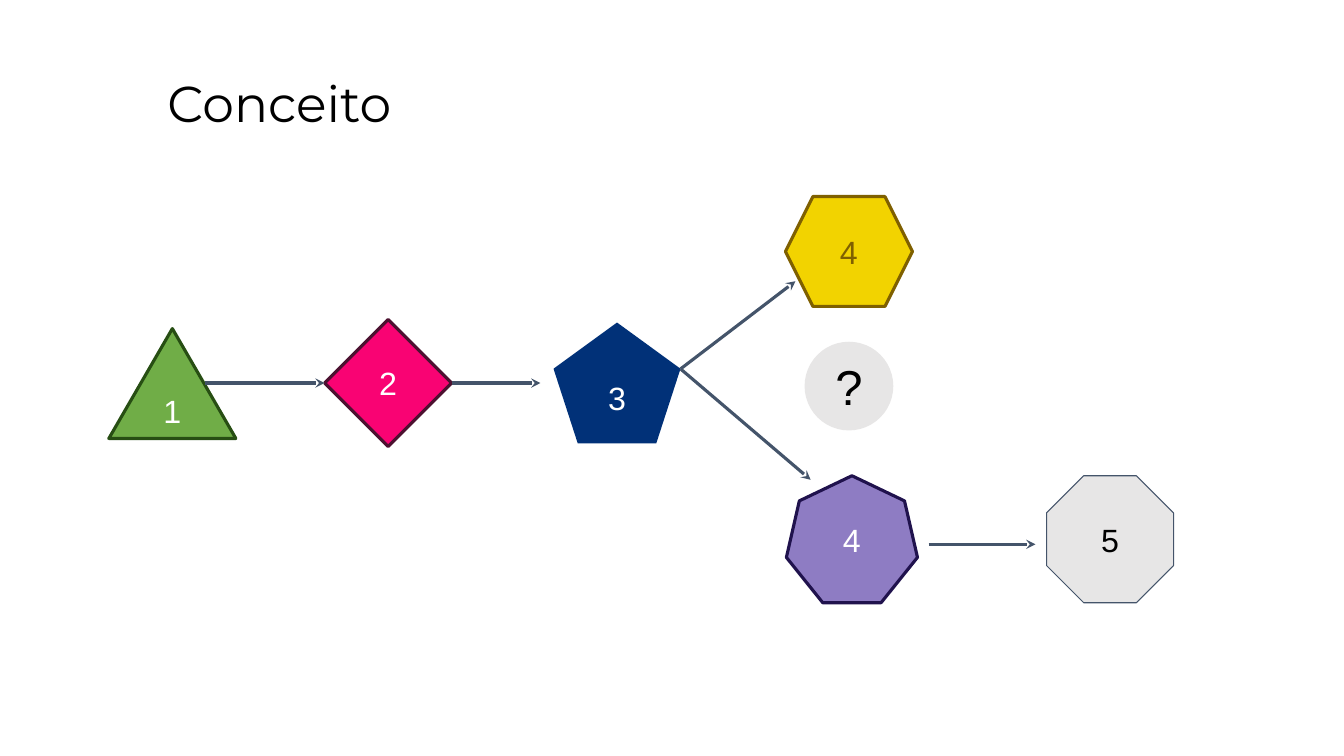
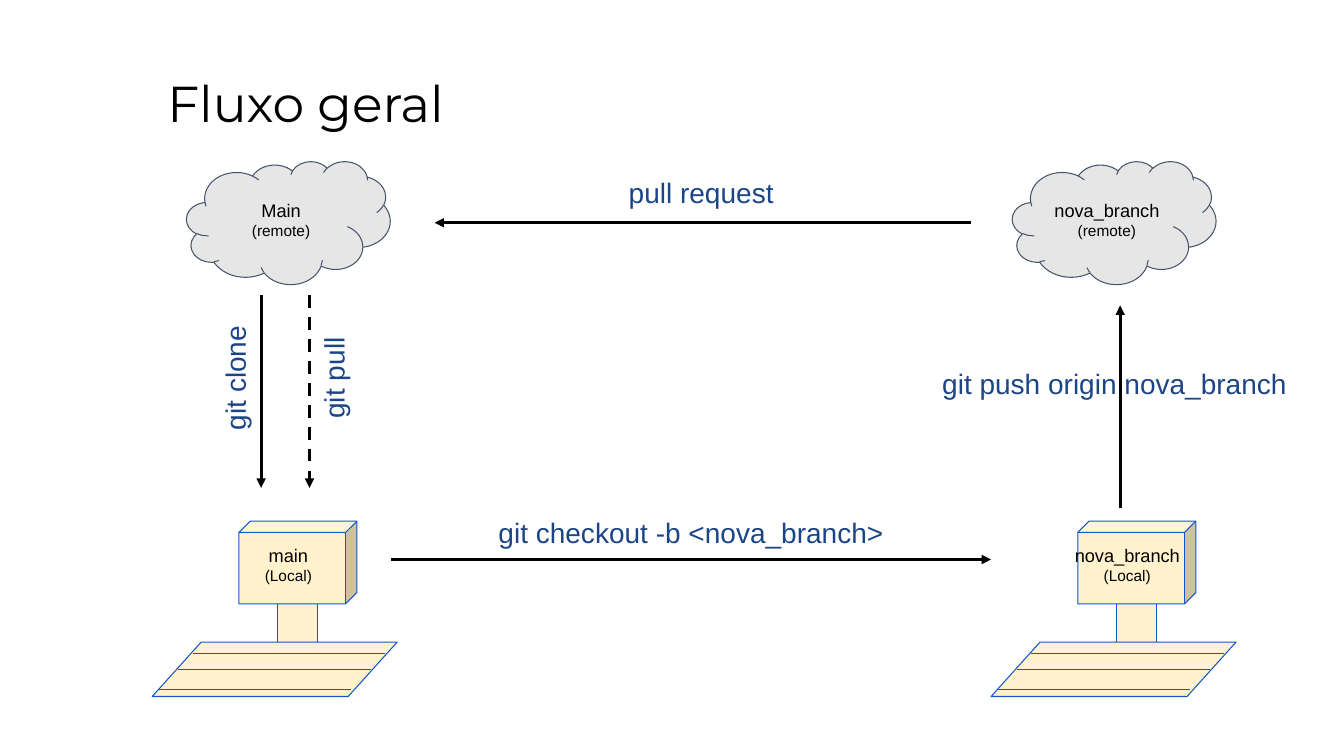
from dataclasses import dataclass

from lxml import etree
from pptx import Presentation
from pptx.dml.color import RGBColor
from pptx.enum.dml import MSO_LINE_DASH_STYLE as Dash
from pptx.enum.shapes import MSO_CONNECTOR as Connector, MSO_SHAPE as Shape
from pptx.enum.text import MSO_ANCHOR as Anchor, MSO_AUTO_SIZE as AutoSize, PP_ALIGN as Align
from pptx.oxml.ns import qn
from pptx.util import Inches, Pt


@dataclass(frozen=True)
class Theme:
    title_font: str = "Montserrat"
    body_font: str = "Arial"
    black: str = "000000"
    white: str = "FFFFFF"
    gray: str = "E7E6E6"
    slate: str = "44546A"
    cream: str = "FFF2CC"
    blue: str = "1155CC"
    command: str = "1C4587"
    green: str = "70AD47"
    dark_green: str = "274E13"
    pink: str = "F90373"
    dark_pink: str = "4C1130"
    navy: str = "013178"
    yellow: str = "F2D300"
    brown: str = "7F6000"
    purple: str = "8E7CC3"
    dark_purple: str = "20124D"
    title_size: float = 36
    question_size: float = 35
    step_size: float = 23
    command_size: float = 20
    name_size: float = 13
    place_size: float = 11
    thin: float = 0.75
    thick: float = 2.25


THEME = Theme()


# Text
def style(para, size, color, font=THEME.body_font, align=Align.CENTER):
    para.alignment = align
    para.font.size = Pt(size)
    para.font.name = font
    para.font.color.rgb = RGBColor.from_string(color)


def write(box, lines, color, anchor=Anchor.MIDDLE):
    """Fill a box with (text, size) lines, one paragraph each."""
    frame = box.text_frame
    frame.word_wrap = True
    frame.vertical_anchor = anchor
    frame.margin_left = frame.margin_right = Inches(0.1)
    frame.margin_top = frame.margin_bottom = Inches(0.1)
    for index, (text, size) in enumerate(lines):
        para = frame.add_paragraph() if index else frame.paragraphs[0]
        para.text = text
        style(para, size, color)


def add_text(shapes, area, lines, color, rotation=0):
    box = shapes.add_textbox(*map(Inches, area))
    box.rotation = rotation
    write(box, lines, color, Anchor.TOP)


def add_command(page, text, left, top, width=4.23, rotation=0):
    add_text(page.shapes, (left, top, width, 0.54),
             [(text, THEME.command_size)], THEME.command, rotation)


# Shapes and lines
def add_figure(shapes, kind, area, fill, outline=None, width=THEME.thin):
    figure = shapes.add_shape(kind, *map(Inches, area))
    figure.shadow.inherit = False
    figure.fill.solid()
    figure.fill.fore_color.rgb = RGBColor.from_string(fill)
    if outline:
        figure.line.color.rgb = RGBColor.from_string(outline)
        figure.line.width = Pt(width)
    else:
        figure.line.fill.background()
    return figure


def add_line(shapes, start, end, color, width=THEME.thin, head=None, dash=None):
    line = shapes.add_connector(Connector.STRAIGHT, *map(Inches, (*start, *end)))
    line.line.color.rgb = RGBColor.from_string(color)
    line.line.width = Pt(width)
    if dash:
        line.line.dash_style = dash
    if head:
        etree.SubElement(line.line._get_or_add_ln(), qn("a:tailEnd"), type=head)
    etree.SubElement(line._element.spPr, qn("a:effectLst"))


# Slides
def add_page(deck, title):
    page = deck.slides.add_slide(deck.slide_layouts.get_by_name("Title Only"))
    box = page.shapes.title
    box.left, box.top, box.width, box.height = map(Inches, (1.56, 0.51, 6.77, 1.09))
    box.text_frame.text = title
    box.text_frame.auto_size = AutoSize.NONE
    box.text_frame.vertical_anchor = Anchor.MIDDLE
    para = box.text_frame.paragraphs[0]
    para.line_spacing = 0.9
    style(para, THEME.title_size, THEME.black, THEME.title_font, Align.LEFT)
    return page


def add_cloud(page, left, name):
    cloud = add_figure(page.shapes, Shape.CLOUD, (left, 1.6, 2.02, 1.22), THEME.gray, THEME.slate)
    write(cloud, [(name, THEME.name_size), ("(remote)", THEME.place_size)], THEME.black)


def add_computer(page, left, name):
    shapes = page.shapes.add_group_shape().shapes

    # Stand, monitor and keyboard
    add_figure(shapes, Shape.FLOWCHART_PROCESS, (left + 1.24, 5.87, 0.4, 0.62),
               THEME.cream, THEME.blue)
    monitor = add_figure(shapes, Shape.CUBE, (left + 0.86, 5.17, 1.17, 0.82),
                         THEME.cream, THEME.blue)
    monitor.adjustments[0] = 0.136
    add_figure(shapes, Shape.FLOWCHART_DATA, (left, 6.37, 2.43, 0.54), THEME.cream, THEME.blue)

    # Key rows
    for indent, top in ((0.4, 6.48), (0.26, 6.64), (0.06, 6.84)):
        row = left + indent
        add_line(shapes, (row, top), (row + 1.91, top), THEME.blue)

    add_text(shapes, (left + 0.56, 5.3, 1.58, 0.61),
             [(name, THEME.name_size), ("(Local)", THEME.place_size)], THEME.black)


def build_concept(deck):
    page = add_page(deck, "Conceito")
    t = THEME

    # Numbered steps: kind, area, text, text size, text colour, fill, outline, outline width
    steps = (
        (Shape.HEXAGON, (7.79, 1.95, 1.26, 1.09), "4", t.step_size, t.brown, t.yellow, t.brown, t.thick),
        (Shape.REGULAR_PENTAGON, (5.49, 3.2, 1.26, 1.2), "3", t.step_size, t.white, t.navy, None, 0),
        (Shape.DIAMOND, (3.22, 3.17, 1.26, 1.26), "2", t.step_size, t.white, t.pink, t.dark_pink, t.thick),
        (Shape.ISOSCELES_TRIANGLE, (1.08, 3.26, 1.26, 1.09), "1", t.step_size, t.white,
         t.green, t.dark_green, t.thick),
        (Shape.HEPTAGON, (7.8, 4.72, 1.3, 1.26), "4", t.step_size, t.white,
         t.purple, t.dark_purple, t.thick),
        (Shape.OVAL, (7.98, 3.39, 0.88, 0.88), "?", t.question_size, t.black, t.gray, None, 0),
        (Shape.OCTAGON, (10.38, 4.72, 1.26, 1.26), "5", t.step_size, t.black, t.gray, t.slate, t.thin),
    )
    for kind, area, text, size, color, fill, outline, width in steps:
        write(add_figure(page.shapes, kind, area, fill, outline, width), [(text, size)], color)

    # Arrows between steps
    fork = (6.75, 3.66)
    for start, end in (
        ((2.03, 3.8), (3.22, 3.8)),
        ((4.48, 3.8), (5.36, 3.8)),
        (fork, (7.89, 2.79)),
        (fork, (8.04, 4.76)),
        ((9.21, 5.4), (10.27, 5.4)),
    ):
        add_line(page.shapes, start, end, t.slate, t.thick, "stealth")


def build_flow(deck):
    page = add_page(deck, "Fluxo geral")

    # Remote and local repositories
    add_cloud(page, 1.85, "Main")
    add_cloud(page, 10.04, "nova_branch")
    add_computer(page, 1.51, "main")
    add_computer(page, 9.83, "nova_branch")

    # Arrows
    for start, end, dash in (
        ((2.59, 2.93), (2.59, 4.84), None),
        ((3.07, 2.93), (3.07, 4.84), Dash.DASH),
        ((3.88, 5.55), (9.83, 5.55), None),
        ((11.11, 5.04), (11.11, 3.03), None),
        ((9.63, 2.21), (4.31, 2.21), None),
    ):
        add_line(page.shapes, start, end, THEME.black, THEME.thick, "triangle", dash)

    # Commands
    add_command(page, "git clone", 1.55, 3.48, 1.56, 270)
    add_command(page, "git pull", 2.53, 3.48, 1.56, 270)
    add_command(page, "git checkout -b <nova_branch>", 4.74, 5.01)
    add_command(page, "git push origin nova_branch", 8.94, 3.54)
    add_command(page, "pull request", 4.84, 1.64)


def main():
    deck = Presentation()
    deck.slide_width, deck.slide_height = Inches(13.33), Inches(7.5)
    build_concept(deck)
    build_flow(deck)
    deck.save("out.pptx")


if __name__ == "__main__":
    main()
